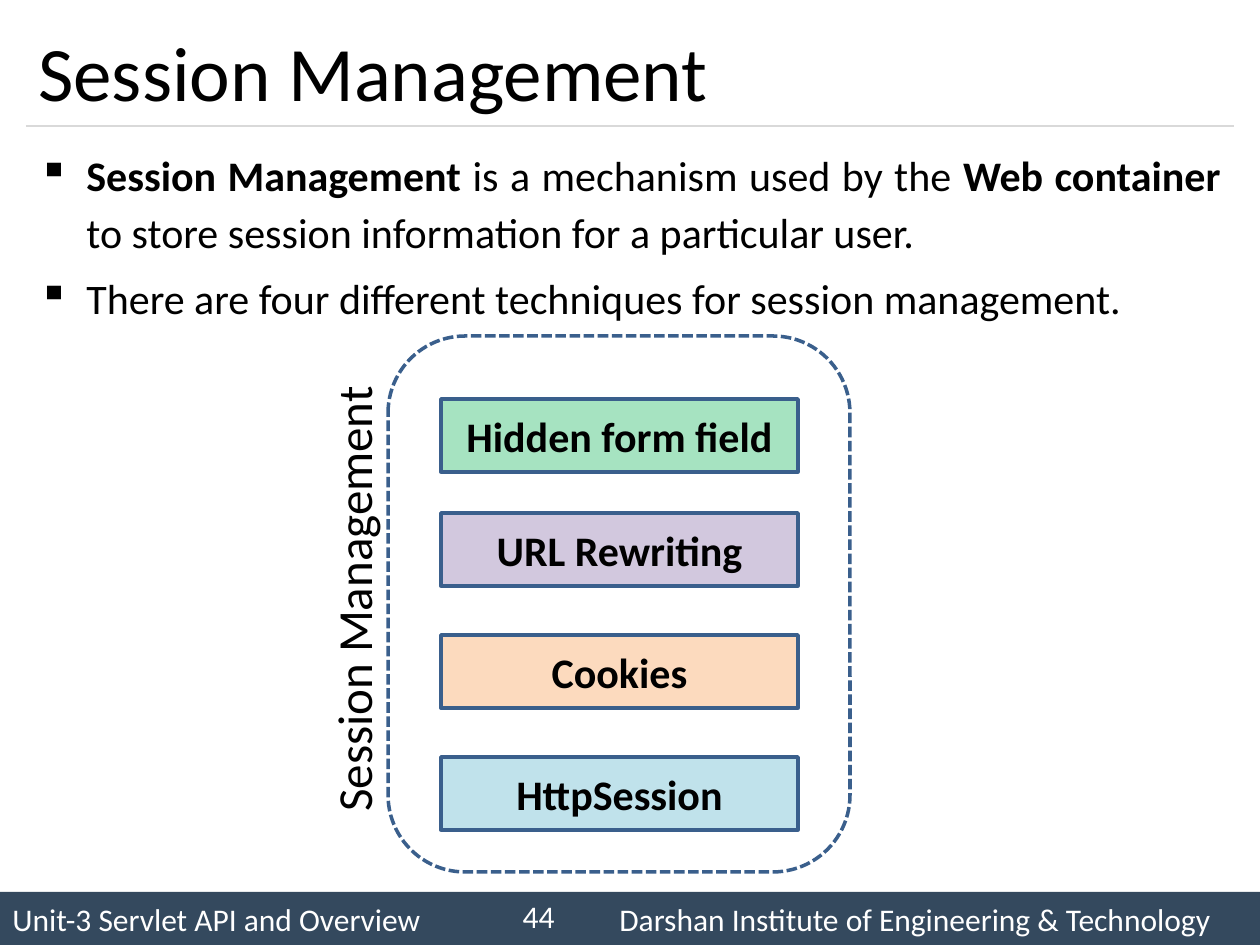
from lxml import etree
from pptx import Presentation, util as u
from pptx.dml.color import RGBColor
from pptx.enum import dml, shapes, text
from pptx.oxml.ns import qn

# Content
TITLE = "Session Management"
BODY = [  # paragraphs of (wording, bold) runs
    [("Session Management", True), (" is a mechanism used by the ", False),
     ("Web container", True),
     (" to store session information for a particular user. ", False)],
    [("There are four different techniques for session management. ", False)],
]
TECHNIQUES = [  # label, fill, top in px
    ("Hidden form field", "green", 399),
    ("URL Rewriting", "purple", 513),
    ("Cookies", "orange", 635),
    ("HttpSession", "aqua", 757),
]
GROUP_LABEL = "Session Management"
UNIT, INSTITUTE = "Unit-3 Servlet API and Overview", "Darshan Institute of Engineering & Technology"
PAGE = "44"

FONT = "Calibri"
COLOURS = {"black": "000000", "white": "FFFFFF", "footer": "34495E",
           "rule": "D9D9D9", "outline": "3A5F8C", "green": "00B050",
           "purple": "8064A2", "orange": "F79646", "aqua": "4BACC6"}
FILL_OPACITY = 35
SCALE = 914400 / 126
LEFT, CENTRE, RIGHT = text.PP_ALIGN.LEFT, text.PP_ALIGN.CENTER, text.PP_ALIGN.RIGHT
MIDDLE, TOP = text.MSO_ANCHOR.MIDDLE, text.MSO_ANCHOR.TOP


def px(n):
    return u.Emu(round(n * SCALE))


def rgb(name):
    return RGBColor.from_string(COLOURS[name])


def add_run(paragraph, wording, size, colour="black", bold=False):
    run = paragraph.add_run()
    run.text = wording
    run.font.name, run.font.size, run.font.bold = FONT, u.Pt(size), bold
    run.font.color.rgb = rgb(colour)


def prepare(shape, align, anchor):
    frame = shape.text_frame
    frame.word_wrap, frame.vertical_anchor = True, anchor
    frame.paragraphs[0].alignment = align
    return frame.paragraphs[0]


def add_text(box, align=LEFT, anchor=MIDDLE):
    shape = slide.shapes.add_textbox(*map(px, box))
    return shape, prepare(shape, align, anchor)


def add_box(kind, box, fill=None, outline=None):
    shape = slide.shapes.add_shape(kind, *map(px, box))
    shape.shadow.inherit = False
    if fill:
        shape.fill.solid()
        shape.fill.fore_color.rgb = rgb(fill)
    else:
        shape.fill.background()
    if outline:
        shape.line.color.rgb = rgb(outline)
        shape.line.width = u.Pt(2)
    else:
        shape.line.fill.background()
    return shape


prs = Presentation()
prs.slide_width, prs.slide_height = px(1260), px(945)
slide = prs.slides.add_slide(prs.slide_layouts[6])

# Footer band: the institute starts at a tab stop
footer = add_box(shapes.MSO_SHAPE.RECTANGLE, (0, 892, 1260, 53), "footer")
footer_line = prepare(footer, LEFT, MIDDLE)
tabs = etree.SubElement(footer_line._p.get_or_add_pPr(), qn("a:tabLst"))
etree.SubElement(tabs, qn("a:tab"), pos=str(px(607)), algn="l")
add_run(footer_line, f"{UNIT}\t{INSTITUTE}", 18, "white")

# Title and rule
rule = slide.shapes.add_connector(shapes.MSO_CONNECTOR.STRAIGHT,
                                  px(26), px(126), px(1234), px(126))
rule.line.color.rgb, rule.line.width = rgb("rule"), u.Pt(0.75)
etree.SubElement(rule._element.spPr, qn("a:effectLst"))
_, heading = add_text((26, 15, 1207, 111))
add_run(heading, TITLE, 44)

# Bulleted body
body, _ = add_text((26, 136, 1207, 735), anchor=TOP)
for i, runs in enumerate(BODY):
    paragraph = body.text_frame.add_paragraph() if i else body.text_frame.paragraphs[0]
    props = paragraph._p.get_or_add_pPr()
    props.set("marL", str(px(48)))
    props.set("indent", str(-px(48)))
    etree.SubElement(props, qn("a:buChar"), char="▪")
    paragraph.alignment = text.PP_ALIGN.JUSTIFY
    paragraph.line_spacing = 1.14
    if i:
        paragraph.space_before = u.Pt(4.8)
    for wording, bold in runs:
        add_run(paragraph, wording, 24, bold=bold)

# Page number
_, page = add_text((483, 891, 84, 50), RIGHT)
add_run(page, PAGE, 18, "white")

# Dashed frame around the techniques
frame = add_box(shapes.MSO_SHAPE.ROUNDED_RECTANGLE, (388, 336, 462, 536), outline="outline")
frame.line.dash_style = dml.MSO_LINE.SQUARE_DOT

# Technique boxes with see-through fills
for label, fill, top in TECHNIQUES:
    technique = add_box(shapes.MSO_SHAPE.RECTANGLE, (441, top, 357, 73), fill, "outline")
    tint = technique._element.spPr.find(qn("a:solidFill"))[0]
    etree.SubElement(tint, qn("a:alpha"), val=str(FILL_OPACITY * 1000))
    add_run(prepare(technique, CENTRE, MIDDLE), label, 24, bold=True)

# Label turned along the frame's left side
side, side_line = add_text((121, 563, 464, 72), CENTRE, TOP)
side.rotation = 270
add_run(side_line, GROUP_LABEL, 28)

prs.save("out.pptx")
